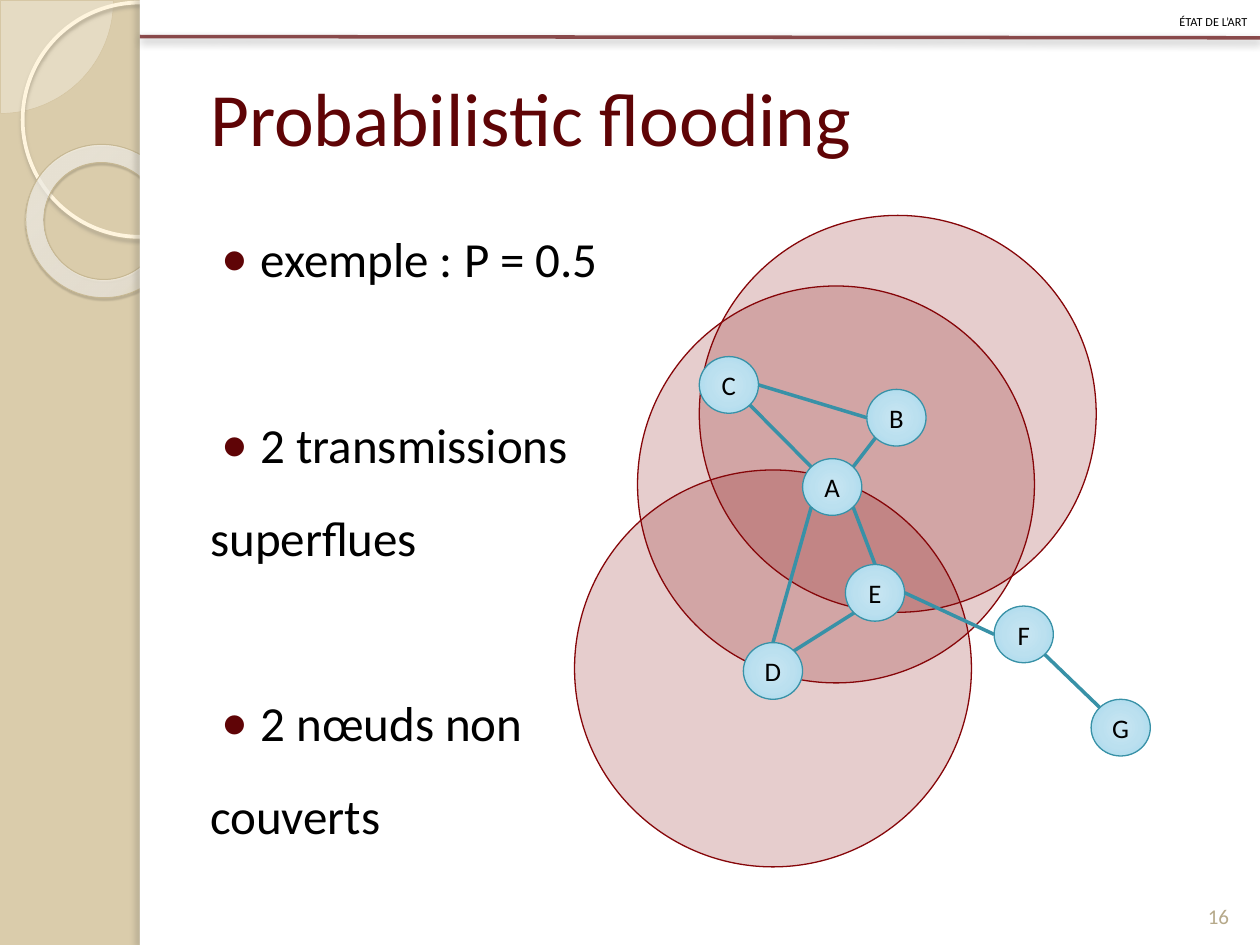
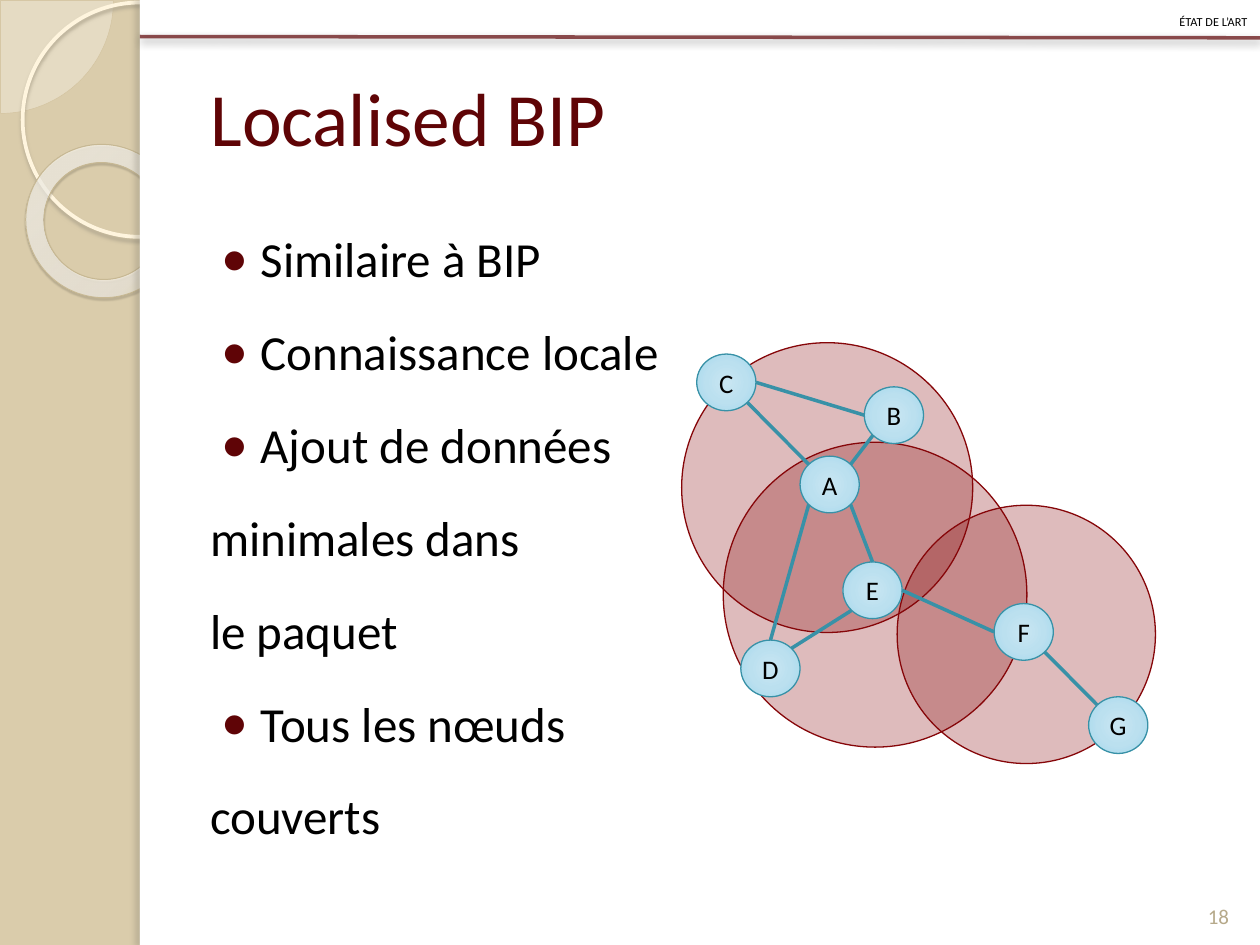
from dataclasses import dataclass
from math import cos, radians, sin
from typing import NamedTuple, Optional

from pptx import Presentation
from pptx.dml.color import RGBColor
from pptx.enum.shapes import MSO_CONNECTOR, MSO_SHAPE
from pptx.enum.text import MSO_ANCHOR as Anchor, MSO_AUTO_SIZE as AutoSize, PP_ALIGN as Align
from pptx.oxml import parse_xml
from pptx.oxml.ns import nsdecls, qn
from pptx.util import Inches, Pt

COLOURS = {
    "sand": "DACCAB", "white": "FFFFFF", "black": "000000", "maroon": "5F0406",
    "page": "B6A98A", "range": "860609", "link": "3891A7",
    "pie": "FEFAF4", "pie line": "D3C39F", "ring": "FFF5DE", "donut line": "C7B893",
    "ring shadow": "B0A68F", "donut shadow": "5A5444", "panel shadow": "736F63",
}
FONT = "Calibri"
NODE_WIDTH, NODE_HEIGHT = 0.47, 0.45
TOP, TOP_LEFT, LEFT, BOTTOM_LEFT, BOTTOM, BOTTOM_RIGHT, RIGHT, TOP_RIGHT = range(8)


class Box(NamedTuple):
    left: float
    top: float
    width: float
    height: float


class Stop(NamedTuple):
    position: int
    colour: str
    alpha: int = 100


class Shadow(NamedTuple):
    colour: str
    alpha: int
    blur: float
    distance: float
    direction: int


class Link(NamedTuple):
    start: str
    start_site: int
    end: str
    end_site: int


@dataclass(frozen=True)
class Line:
    text: str
    bullet: bool = True
    space_before: int = 6


@dataclass(frozen=True)
class Flooding:
    title: str
    page: int
    lines: list[Line]
    ranges: list[Box]
    range_alpha: int
    nodes: dict[str, tuple[float, float]]


NODE_STOPS = [Stop(0, "C9E6F2"), Stop(50, "BBE0EF"), Stop(97, "A4D8ED"), Stop(100, "9BD7EE")]
DONUT_STOPS = [Stop(0, "FFFCF6", 70), Stop(70, "FFFEFB", 55), Stop(100, "F0D28E", 60)]

NODES = {
    "A": (6.37, 3.64), "B": (6.88, 3.09), "C": (5.55, 2.83), "D": (5.9, 5.1),
    "E": (6.71, 4.48), "F": (7.89, 4.81), "G": (8.66, 5.55),
}
SHIFTED_NODES = {name: (left - 0.02, top - 0.02) for name, (left, top) in NODES.items()}
SHIFTED_NODES["F"] = (7.89, 4.79)

LINKS = [
    Link("C", BOTTOM_RIGHT, "A", TOP_LEFT),
    Link("A", TOP_RIGHT, "B", BOTTOM_LEFT),
    Link("A", BOTTOM_RIGHT, "E", TOP),
    Link("A", BOTTOM_LEFT, "D", TOP),
    Link("D", TOP_RIGHT, "E", BOTTOM_LEFT),
    Link("E", RIGHT, "F", LEFT),
    Link("B", LEFT, "C", RIGHT),
    Link("F", BOTTOM_RIGHT, "G", TOP_LEFT),
]

SLIDES = [
    Flooding(
        "Probabilistic flooding", 16,
        [
            Line("exemple : P = 0.5"),
            Line("2 transmissions", space_before=59),
            Line("superflues", bullet=False),
            Line("2 nœuds non", space_before=59),
            Line("couverts", bullet=False),
        ],
        [Box(left, top, 3.15, 3.15) for left, top in ((5.06, 2.27), (5.55, 1.71), (4.56, 3.73))],
        20, NODES,
    ),
    Flooding(
        "Localised BIP", 18,
        [
            Line("Similaire à BIP"),
            Line("Connaissance locale"),
            Line("Ajout de données"),
            Line("minimales dans", bullet=False),
            Line("le paquet", bullet=False),
            Line("Tous les nœuds"),
            Line("couverts", bullet=False),
        ],
        [Box(5.41, 2.72, 2.31, 2.3), Box(5.74, 3.51, 2.41, 2.42), Box(7.12, 4.01, 2.05, 2.05)],
        27, SHIFTED_NODES,
    ),
]


def colour(name: str) -> RGBColor:
    return RGBColor.from_string(COLOURS[name])


def inches(values) -> list:
    return [Inches(value) for value in values]


def set_alpha(parent, percent: int) -> None:
    for tag in parent.iter(qn("a:srgbClr")):
        tag.append(parse_xml(f'<a:alpha {nsdecls("a")} val="{percent * 1000}"/>'))


def set_gradient(shape, stops: list[Stop], focus: tuple[int, int, int, int]) -> None:
    stop_xml = "".join(
        f'<a:gs pos="{stop.position * 1000}"><a:srgbClr val="{stop.colour}">'
        f'<a:alpha val="{stop.alpha * 1000}"/></a:srgbClr></a:gs>'
        for stop in stops
    )
    left, top, right, bottom = (value * 1000 for value in focus)
    gradient = parse_xml(
        f'<a:gradFill {nsdecls("a")} rotWithShape="1"><a:gsLst>{stop_xml}</a:gsLst>'
        f'<a:path path="circle"><a:fillToRect l="{left}" t="{top}" r="{right}" b="{bottom}"/>'
        "</a:path></a:gradFill>"
    )
    shape.fill.background()
    properties = shape._element.spPr
    properties.replace(properties.find(qn("a:noFill")), gradient)


def set_shadow(shape, shadow: Optional[Shadow] = None) -> None:
    properties = shape._element.spPr
    effects = properties.find(qn("a:effectLst"))
    if effects is None:
        effects = parse_xml(f'<a:effectLst {nsdecls("a")}/>')
        properties.append(effects)
    if shadow:
        effects.append(parse_xml(
            f'<a:outerShdw {nsdecls("a")} blurRad="{Pt(shadow.blur)}" dist="{Pt(shadow.distance)}" '
            f'dir="{shadow.direction * 60000}" algn="tl" rotWithShape="0">'
            f'<a:srgbClr val="{COLOURS[shadow.colour]}"><a:alpha val="{shadow.alpha * 1000}"/>'
            "</a:srgbClr></a:outerShdw>"
        ))


def add_shape(slide, kind, box: Box, fill: Optional[str] = None, alpha: int = 100,
              line: Optional[str] = None, width: float = 0.75, shadow: Optional[Shadow] = None):
    shape = slide.shapes.add_shape(kind, *inches(box))
    if fill:
        shape.fill.solid()
        shape.fill.fore_color.rgb = colour(fill)
        if alpha < 100:
            set_alpha(shape.fill._xPr.find(qn("a:solidFill")), alpha)
    else:
        shape.fill.background()
    if line:
        shape.line.color.rgb = colour(line)
        shape.line.width = Pt(width)
    else:
        shape.line.fill.background()
    shape.shadow.inherit = False
    set_shadow(shape, shadow)
    return shape


def add_line(slide, start, end, line: str, shadow: Optional[Shadow] = None):
    connector = slide.shapes.add_connector(MSO_CONNECTOR.STRAIGHT, *inches((*start, *end)))
    connector.line.color.rgb = colour(line)
    connector.line.width = Pt(2)
    set_shadow(connector, shadow)
    return connector


def set_font(paragraph, size: float, name: str) -> None:
    paragraph.font.name = FONT
    paragraph.font.size = Pt(size)
    paragraph.font.color.rgb = colour(name)


def set_text(shape, text: str, size: float, name: str, align, anchor):
    frame = shape.text_frame
    frame.text = text
    frame.auto_size = AutoSize.NONE
    frame.word_wrap = True
    frame.vertical_anchor = anchor
    paragraph = frame.paragraphs[0]
    paragraph.alignment = align
    set_font(paragraph, size, name)
    return paragraph


def add_label(slide, box: Box, text: str, size: float, name: str, align, anchor):
    return set_text(slide.shapes.add_textbox(*inches(box)), text, size, name, align, anchor)


def add_frame(slide, page: int) -> None:
    pie = add_shape(slide, MSO_SHAPE.PIE, Box(-0.89, -0.89, 1.79, 1.79), "pie", 33, "pie line", 0.25)
    pie.adjustments[0], pie.adjustments[1] = 0, 54.02
    add_shape(slide, MSO_SHAPE.OVAL, Box(0.18, 0.02, 1.86, 1.86), line="ring", width=2.15,
              shadow=Shadow("ring shadow", 85, 2, 2, 90))
    donut = add_shape(slide, MSO_SHAPE.DONUT, Box(0.2, 1.15, 1.23, 1.21), line="donut line",
                      width=0.58, shadow=Shadow("donut shadow", 35, 1, 1.2, 75))
    donut.adjustments[0] = 0.12
    donut.rotation = 38.6
    set_gradient(donut, DONUT_STOPS, (-408, -50, 508, 150))
    add_shape(slide, MSO_SHAPE.RECTANGLE, Box(1.11, 0, 8.89, 7.5), "white")
    add_shape(slide, MSO_SHAPE.RECTANGLE, Box(1.11, 0, 0.08, 7.5), "white",
              shadow=Shadow("panel shadow", 25, 3, 3, 180))
    rule = add_line(slide, (1.11, 0.29), (10, 0.3), "maroon", Shadow("black", 43, 5, 2, 90))
    set_alpha(rule.line._ln, 70)
    add_label(slide, Box(9.42, 6.9, 0.5, 0.52), str(page), 12, "page", Align.CENTER, Anchor.BOTTOM)
    section = add_label(slide, Box(0, 0, 10, 0.29), "état de l’art", 8.8, "black",
                        Align.RIGHT, Anchor.MIDDLE)
    section.line_spacing = 1.2
    section.space_before = Pt(6)
    section._p.get_or_add_pPr().get_or_add_defRPr().set("cap", "small")
    section.runs[0].font._element.set("cap", "small")


def add_title(slide, text: str) -> None:
    title = slide.shapes.title
    title.left, title.top, title.width, title.height = inches((1.57, 0.3, 8.2, 1.25))
    set_text(title, text, 43, "maroon", Align.LEFT, Anchor.MIDDLE)
    slide.shapes._spTree.append(title._element)


def add_bullet(paragraph) -> None:
    properties = paragraph._p.get_or_add_pPr()
    properties.set("marL", str(Inches(0.4)))
    properties.set("indent", str(Inches(-0.31)))
    for tag in (
        f'<a:buClr {nsdecls("a")}><a:srgbClr val="{COLOURS["maroon"]}"/></a:buClr>',
        f'<a:buSzPct {nsdecls("a")} val="110000"/>',
        f'<a:buFont {nsdecls("a")} typeface="{FONT}"/>',
        f'<a:buChar {nsdecls("a")} char="•"/>',
    ):
        properties.append(parse_xml(tag))


def add_body(slide, lines: list[Line]) -> None:
    frame = slide.shapes.add_textbox(*inches((1.57, 1.58, 8.2, 5.25))).text_frame
    frame.word_wrap = True
    for index, line in enumerate(lines):
        paragraph = frame.add_paragraph() if index else frame.paragraphs[0]
        paragraph.text = line.text
        paragraph.line_spacing = 1.4
        paragraph.space_before = Pt(line.space_before)
        if line.bullet:
            add_bullet(paragraph)
        set_font(paragraph, 28, "black")


def add_node(slide, name: str, position: tuple[float, float]):
    node = add_shape(slide, MSO_SHAPE.OVAL, Box(*position, NODE_WIDTH, NODE_HEIGHT), line="link")
    set_gradient(node, NODE_STOPS, (50, 50, 50, 50))
    set_text(node, name, 15.3, "black", Align.CENTER, Anchor.MIDDLE)
    frame = node.text_frame
    frame.word_wrap = False
    frame.margin_left = frame.margin_right = frame.margin_top = frame.margin_bottom = 0
    return node


def site_point(position: tuple[float, float], site: int) -> tuple[float, float]:
    angle = radians(90 + 45 * site)
    left, top = position
    return left + NODE_WIDTH / 2 * (1 + cos(angle)), top + NODE_HEIGHT / 2 * (1 - sin(angle))


def add_network(slide, positions: dict[str, tuple[float, float]]) -> None:
    nodes = {name: add_node(slide, name, position) for name, position in positions.items()}
    for link in LINKS:
        connector = add_line(slide, site_point(positions[link.start], link.start_site),
                             site_point(positions[link.end], link.end_site), "link")
        joints = connector._element.nvCxnSpPr.cNvCxnSpPr
        for joint, name, site in (
            (joints.get_or_add_stCxn(), link.start, link.start_site),
            (joints.get_or_add_endCxn(), link.end, link.end_site),
        ):
            joint.id, joint.idx = nodes[name].shape_id, site


def main() -> None:
    presentation = Presentation()
    presentation.slide_width, presentation.slide_height = Inches(10), Inches(7.5)
    background = presentation.slide_master.background.fill
    background.solid()
    background.fore_color.rgb = colour("sand")
    for content in SLIDES:
        slide = presentation.slides.add_slide(presentation.slide_layouts[5])
        add_frame(slide, content.page)
        add_title(slide, content.title)
        add_body(slide, content.lines)
        for box in content.ranges:
            add_shape(slide, MSO_SHAPE.OVAL, box, "range", content.range_alpha, "range")
        add_network(slide, content.nodes)
    presentation.save("out.pptx")


if __name__ == "__main__":
    main()
